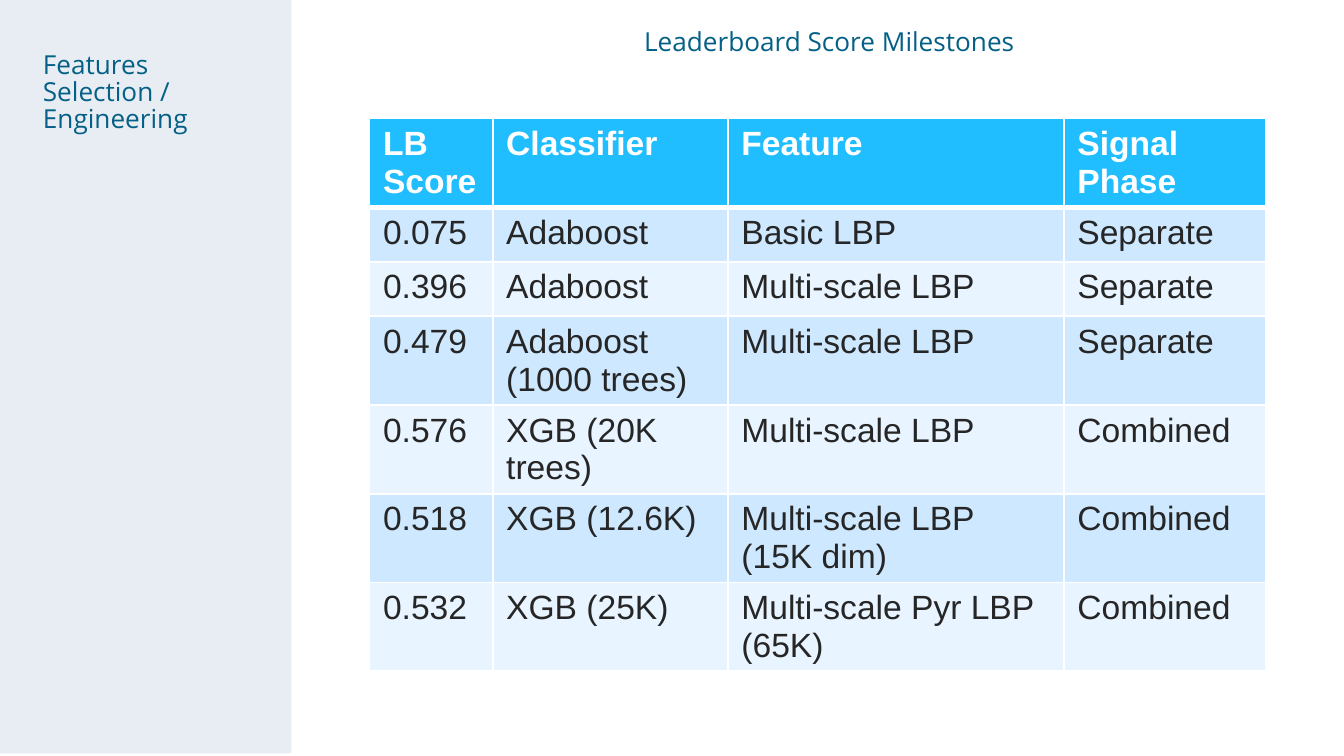
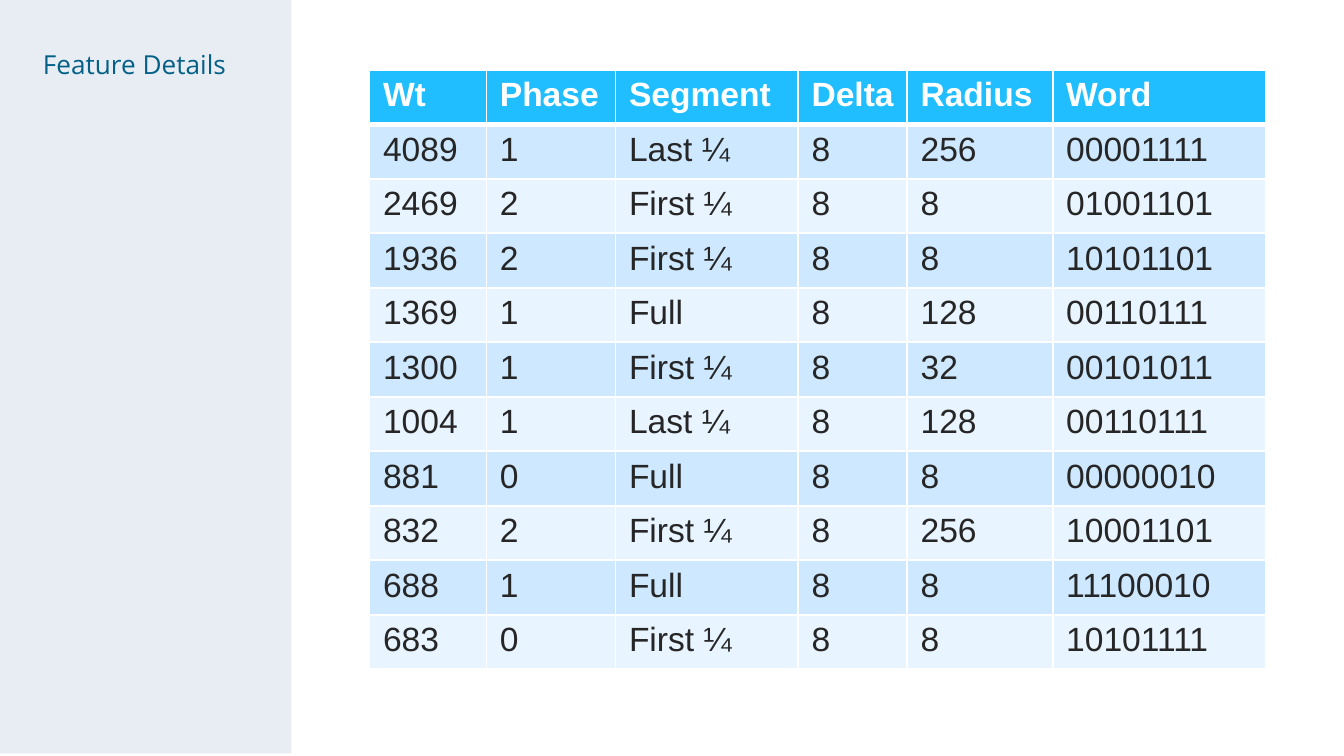
from lxml import etree
from pptx import Presentation
from pptx.dml.color import RGBColor
from pptx.enum import shapes, text
from pptx.oxml import ns
from pptx.util import Pt

SIDEBAR, HEADING = "E7EDF2", "046086"
HEADER_FILL, BAND_FILLS = "20BEFF", ("CDE8FF", "E8F4FF")
WHITE, INK = "FFFFFF", "262626"
HEADING_FONT, TABLE_FONT = "Open Sans", "Arial"
TITLE_ONLY = 5
TABLE_LEFT, ROW_HEIGHT = 198, 29.2

MILESTONES = [
    ("LB Score", "Classifier", "Feature", "Signal Phase"),
    ("0.075", "Adaboost", "Basic LBP", "Separate"),
    ("0.396", "Adaboost", "Multi-scale LBP", "Separate"),
    ("0.479", "Adaboost \n(1000 trees)", "Multi-scale LBP", "Separate"),
    ("0.576", "XGB (20K trees)", "Multi-scale LBP", "Combined"),
    ("0.518", "XGB (12.6K)", "Multi-scale LBP (15K dim)", "Combined"),
    ("0.532", "XGB (25K)", "Multi-scale Pyr LBP (65K)", "Combined"),
]
FEATURES = [
    ("Wt", "Phase", "Segment", "Delta", "Radius", "Word"),
    ("4089", "1", "Last ¼", "8", "256", "00001111"),
    ("2469", "2", "First ¼", "8", "8", "01001101"),
    ("1936", "2", "First ¼", "8", "8", "10101101"),
    ("1369", "1", "Full", "8", "128", "00110111"),
    ("1300", "1", "First ¼", "8", "32", "00101011"),
    ("1004", "1", "Last ¼", "8", "128", "00110111"),
    ("881", "0", "Full", "8", "8", "00000010"),
    ("832", "2", "First ¼", "8", "256", "10001101"),
    ("688", "1", "Full", "8", "8", "11100010"),
    ("683", "0", "First ¼", "8", "8", "10101111"),
]


def color(value):
    return RGBColor.from_string(value)


def paint(target, value):
    target.fill.solid()
    target.fill.fore_color.rgb = color(value)


def add_span(para, words, font, size, value, bold=False):
    span = para.add_run()
    span.text = words
    span.font.name, span.font.size, span.font.bold = font, Pt(size), bold
    span.font.color.rgb = color(value)


def write_heading(shape, box, words, align):
    shape.left, shape.top, shape.width, shape.height = map(Pt, box)
    frame = shape.text_frame
    frame.word_wrap = True
    frame.auto_size = text.MSO_AUTO_SIZE.NONE
    frame.vertical_anchor = text.MSO_ANCHOR.TOP
    para = frame.paragraphs[0]
    para.alignment, para.line_spacing = align, 0.87
    add_span(para, words, HEADING_FONT, 14, HEADING)


def add_page(deck, title, title_height):
    """Add a slide with the tinted sidebar and its title on top."""
    page = deck.slides.add_slide(deck.slide_layouts[TITLE_ONLY])
    sidebar = page.shapes.add_shape(
        shapes.MSO_SHAPE.RECTANGLE, Pt(0), Pt(-1.4), Pt(156.2), Pt(405))
    sidebar.shadow.inherit = False
    paint(sidebar, SIDEBAR)
    sidebar.line.fill.background()
    heading = page.shapes.title
    sidebar.element.addnext(heading.element)
    write_heading(heading, (15.8, 24.5, 123.8, title_height), title, text.PP_ALIGN.LEFT)
    return page


def add_caption(page, box, words):
    caption = page.shapes.add_textbox(*map(Pt, box))
    write_heading(caption, box, words, text.PP_ALIGN.CENTER)


def add_border(cell, side, width):
    properties = cell._tc.get_or_add_tcPr()
    line = etree.SubElement(properties, ns.qn("a:ln" + side), w=str(Pt(width)))
    fill = etree.SubElement(line, ns.qn("a:solidFill"))
    etree.SubElement(fill, ns.qn("a:srgbClr"), val=WHITE)


def fill_cell(cell, words, row):
    is_header = row == 0
    borders = {"L": 1, "R": 1, "B": 3 if is_header else 1}
    if is_header:
        borders["T"] = 1
    for side in "LRTB":
        if side in borders:
            add_border(cell, side, borders[side])
    paint(cell, HEADER_FILL if is_header else BAND_FILLS[(row - 1) % 2])
    para = cell.text_frame.paragraphs[0]
    for index, line in enumerate(words.split("\n")):
        if index:
            para.add_line_break()
        add_span(para, line, TABLE_FONT, 18, WHITE if is_header else INK, is_header)


def add_score_table(page, top, widths, records):
    table = page.shapes.add_table(
        len(records), len(widths), Pt(TABLE_LEFT), Pt(top),
        Pt(sum(widths)), Pt(ROW_HEIGHT * len(records))).table
    for column, width in zip(table.columns, widths):
        column.width = Pt(width)
    for row, record in enumerate(records):
        table.rows[row].height = Pt(ROW_HEIGHT)
        for column, words in enumerate(record):
            fill_cell(table.cell(row, column), words, row)


def main():
    deck = Presentation()
    deck.slide_width, deck.slide_height = Pt(720), Pt(405)

    page = add_page(deck, "Features Selection / Engineering", 75)
    add_caption(page, (319, 12.2, 250.6, 24.5), "Leaderboard Score Milestones")
    add_score_table(page, 63.5, (66, 126, 180, 108), MILESTONES)

    page = add_page(deck, "Feature Details", 41)
    add_score_table(page, 37.4, (62.6, 69.2, 97.8, 58.4, 78, 114), FEATURES)

    deck.save("out.pptx")


if __name__ == "__main__":
    main()
